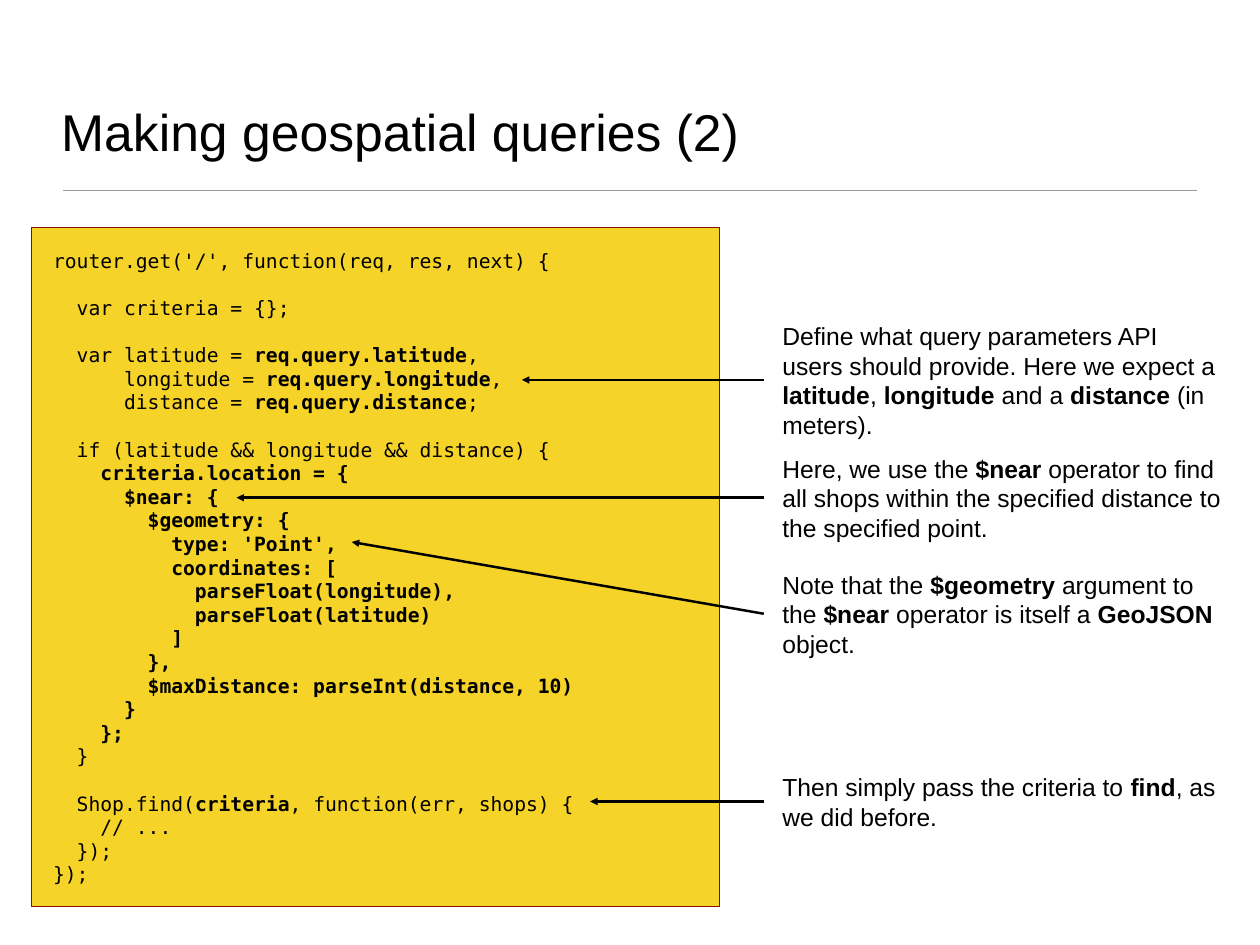
from dataclasses import dataclass

from lxml import etree
from pptx import Presentation
from pptx.dml import color
from pptx.enum import shapes, text
from pptx.oxml import ns
from pptx.util import Inches, Pt


@dataclass(frozen=True)
class Theme:
    ink: str = "000000"
    rule: str = "9A9A9A"
    code_fill: str = "F5D328"
    code_line: str = "851001"
    sans: str = "Arial"
    mono: str = "DejaVu Sans Mono"
    title_size: int = 42
    code_size: int = 16
    note_size: int = 20
    leading: float = 1.2
    inset: float = 0.06
    code_inset: float = 0.24


THEME = Theme()

CODE = """\
router.get('/', function(req, res, next) {

  var criteria = {};

  var latitude = *req.query.latitude*,
      longitude = *req.query.longitude*,
      distance = *req.query.distance*;

  if (latitude && longitude && distance) {
    *criteria.location = {*
*      $near: {*
*        $geometry: {*
*          type: 'Point',*
*          coordinates: [*
*            parseFloat(longitude),*
*            parseFloat(latitude)*
*          ]*
*        },*
*        $maxDistance: parseInt(distance, 10)*
*      }*
*    };*
  }

  Shop.find(*criteria*, function(err, shops) {
    // ...
  });
});"""

NOTES = [
    (4.29, 4, (5.89, 4.29),
     "Define what query parameters API users should provide. Here we expect a "
     "*latitude*, *longitude* and a *distance* (in meters)."),
    (5.62, 3, (2.67, 5.62),
     "Here, we use the *$near* operator to find all shops within the specified "
     "distance to the specified point."),
    (6.93, 3, (3.97, 6.12),
     "Note that the *$geometry* argument to the *$near* operator is itself a "
     "*GeoJSON* object."),
    (9.05, 2, (6.66, 9.05),
     "Then simply pass the criteria to *find*, as we did before."),
]


def rgb(value):
    return color.RGBColor.from_string(value)


def set_frame(tf, anchor, inset):
    tf.word_wrap = True
    tf.auto_size = text.MSO_AUTO_SIZE.NONE
    tf.vertical_anchor = anchor
    tf.margin_left = tf.margin_right = Inches(inset)
    tf.margin_top = tf.margin_bottom = Inches(inset)


def add_runs(p, marked, font, size):
    p.alignment = text.PP_ALIGN.LEFT
    for i, part in enumerate(marked.split("*")):
        if part:
            r = p.add_run()
            r.text = part
            r.font.name = font
            r.font.size = Pt(size)
            r.font.bold = i % 2 == 1
            r.font.color.rgb = rgb(THEME.ink)


def add_line(s, start, end, line_color, width, arrow=False):
    line = s.shapes.add_connector(
        shapes.MSO_CONNECTOR.STRAIGHT, *map(Inches, start + end))
    line.line.color.rgb = rgb(line_color)
    line.line.width = Pt(width)
    if arrow:
        ln = line.line._get_or_add_ln()
        etree.SubElement(ln, ns.qn("a:tailEnd"), type="triangle")
    etree.SubElement(line._element.spPr, ns.qn("a:effectLst"))


def add_title(s, words):
    sp = s.shapes.title
    sp.left, sp.top, sp.width, sp.height = map(Inches, (0.63, 0.36, 12.97, 1.53))
    set_frame(sp.text_frame, text.MSO_ANCHOR.BOTTOM, THEME.inset)
    add_runs(sp.text_frame.paragraphs[0], words, THEME.sans, THEME.title_size)


def add_code(s, code):
    sp = s.shapes.add_shape(
        shapes.MSO_SHAPE.RECTANGLE, *map(Inches, (0.36, 2.57, 7.76, 7.67)))
    sp.shadow.inherit = False
    sp.fill.solid()
    sp.fill.fore_color.rgb = rgb(THEME.code_fill)
    sp.line.color.rgb = rgb(THEME.code_line)
    sp.line.width = Pt(1)
    tf = sp.text_frame
    set_frame(tf, text.MSO_ANCHOR.MIDDLE, THEME.code_inset)
    pitch = Pt(THEME.code_size * THEME.leading)
    for i, block in enumerate(code.split("\n\n")):
        for j, row in enumerate(block.split("\n")):
            first = i == j == 0
            p = tf.paragraphs[0] if first else tf.add_paragraph()
            p.line_spacing = pitch
            p.space_before = pitch if i and not j else Pt(0)
            add_runs(p, row, THEME.mono, THEME.code_size)


def add_note(s, middle, rows, tip, words):
    pitch = THEME.note_size * THEME.leading
    height = rows * pitch / 72 + 2 * THEME.inset
    add_line(s, (8.62, middle), tip, THEME.ink, 2, arrow=True)
    sp = s.shapes.add_textbox(
        *map(Inches, (8.77, middle - height / 2, 5.09, height)))
    set_frame(sp.text_frame, text.MSO_ANCHOR.MIDDLE, THEME.inset)
    p = sp.text_frame.paragraphs[0]
    p.line_spacing = Pt(pitch)
    add_runs(p, words, THEME.sans, THEME.note_size)


def main():
    prs = Presentation()
    prs.slide_width, prs.slide_height = Inches(14.22), Inches(10.67)
    s = prs.slides.add_slide(prs.slide_layouts.get_by_name("Title Only"))
    add_line(s, (0.71, 2.15), (13.51, 2.15), THEME.rule, 1)
    add_title(s, "Making geospatial queries (2)")
    add_code(s, CODE)
    for note in NOTES:
        add_note(s, *note)
    prs.save("out.pptx")


if __name__ == "__main__":
    main()
